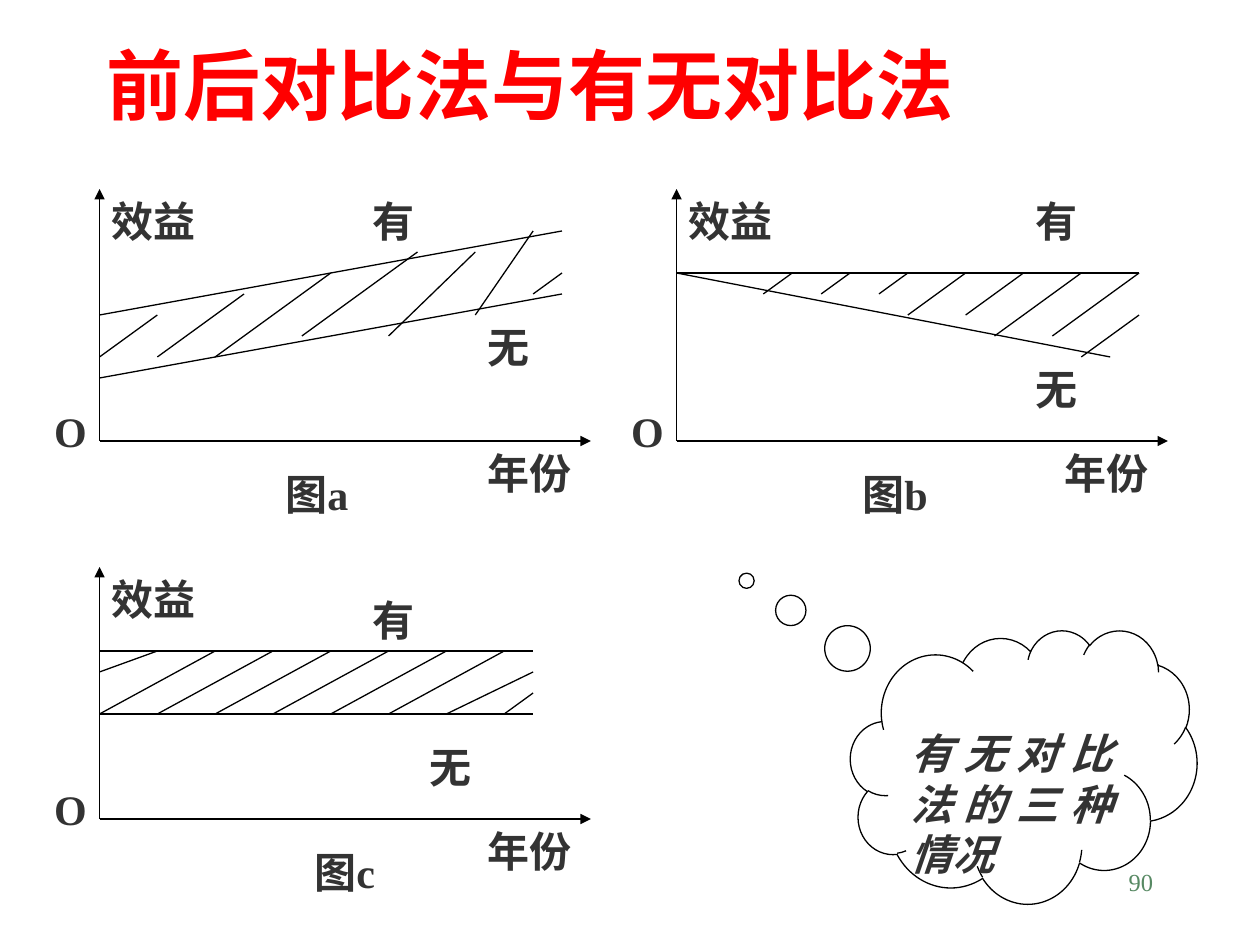
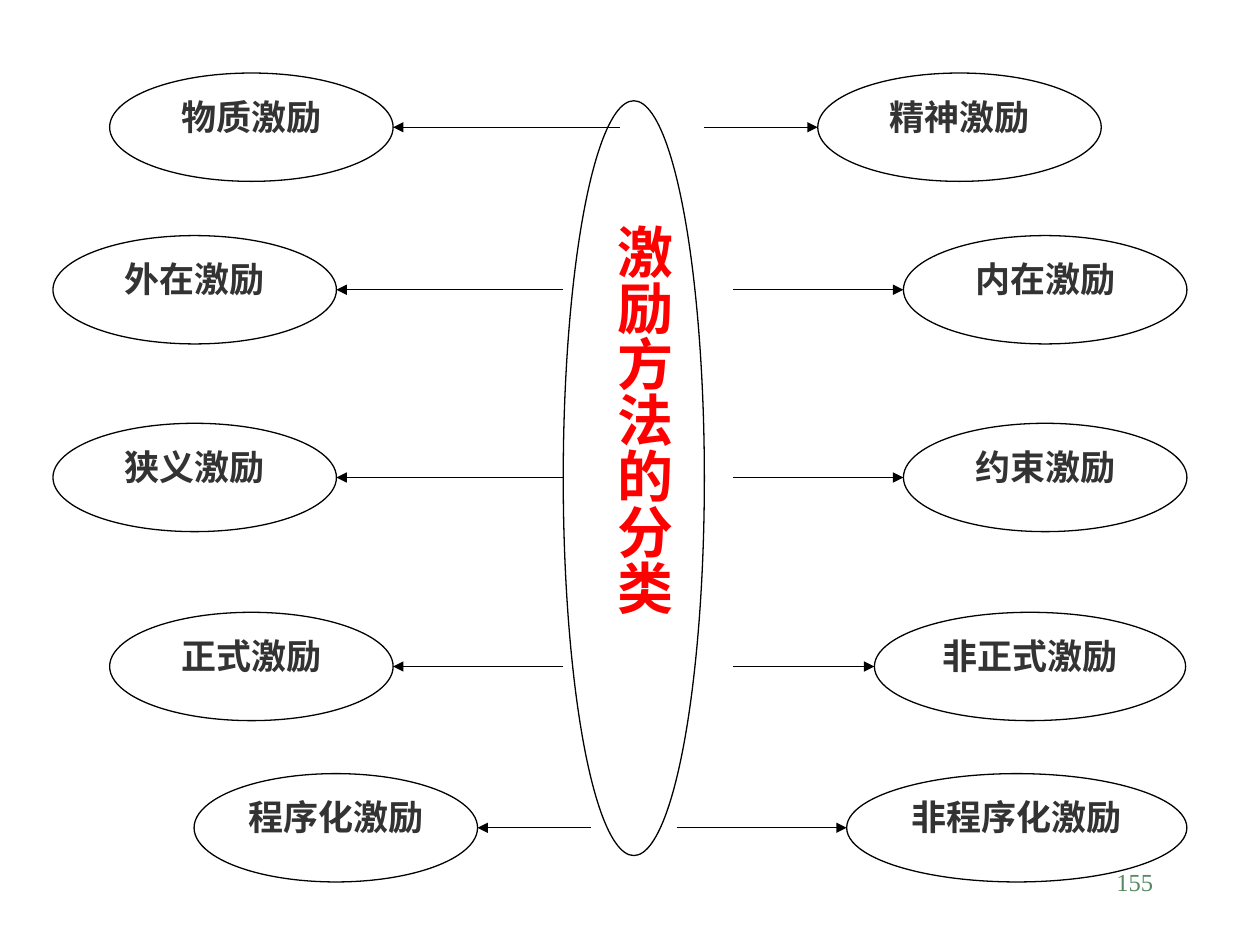
from lxml import etree
from pptx import Presentation
from pptx import util as u
from pptx.dml.color import RGBColor
from pptx.enum import shapes, text
from pptx.oxml.ns import qn

hex_color = RGBColor.from_string
INK, TITLE, PAPER, LABEL, NUMBER = "000000", "FF0000", "FFFFFF", "333333", "578963"
FONT = "Times New Roman"
ALIGN, KIND = text.PP_ALIGN, shapes.MSO_SHAPE
LABEL_STYLE = {"size": u.Pt(24), "bold": True}
METHOD_STYLE = {"size": u.Pt(20), "bold": True}
HUB_STYLE = {"size": u.Pt(32), "bold": True}
TITLE_STYLE = {"size": u.Pt(44), "bold": True}
NUMBER_STYLE = {"size": u.Pt(14)}


def add_text(slide, words, at, style, kind=None, align=ALIGN.JUSTIFY, color=LABEL):
    """Add a text box, or a white shape of the given kind holding the words."""
    place = [u.Inches(length) for length in at]
    if kind is None:
        shape = slide.shapes.add_textbox(*place)
    else:
        shape = slide.shapes.add_shape(kind, *place)
        shape.shadow.inherit = False
        shape.fill.solid()
        shape.fill.fore_color.rgb = hex_color(PAPER)
        if kind == KIND.RECTANGLE:
            shape.line.fill.background()
        else:
            shape.line.color.rgb = hex_color(INK)
            shape.line.width = u.Pt(0.75)
    frame = shape.text_frame
    frame.word_wrap = True
    frame.vertical_anchor = text.MSO_ANCHOR.TOP
    paragraph = frame.paragraphs[0]
    paragraph.alignment = align
    run = paragraph.add_run()
    run.text = words
    run.font.name = FONT
    run.font.color.rgb = hex_color(color)
    for name, value in style.items():
        setattr(run.font, name, value)
    return shape


def add_line(slide, start, end, arrow=False):
    points = [u.Inches(length) for length in (*start, *end)]
    line = slide.shapes.add_connector(shapes.MSO_CONNECTOR.STRAIGHT, *points)
    line.line.color.rgb = hex_color(INK)
    line.line.width = u.Pt(0.75)
    properties = line.line._get_or_add_ln()
    if arrow:
        etree.SubElement(properties, qn("a:tailEnd"), type="triangle")
    etree.SubElement(properties.getparent(), qn("a:effectLst"))


prs = Presentation()
prs.slide_width, prs.slide_height = u.Inches(10), u.Inches(7.5)
comparison, incentives = [prs.slides.add_slide(prs.slide_layouts[6]) for _ in range(2)]

# Comparison charts: positions count grid steps right of and above the origin O
STEP_X, STEP_Y = 3.9 / 17, 1 / 6
figures = [
    {"name": "图a", "origin": (0.79, 3.5), "name_x": 6, "with": (9, 12), "without": (13, 6),
     "lines": [(0, 6, 16, 10), (0, 3, 16, 7), (2, 6, 0, 4), (5, 7, 2, 4), (8, 8, 4, 4),
               (11, 9, 7, 5), (13, 9, 10, 5), (15, 10, 13, 6), (15, 7, 16, 8)]},
    {"name": "图c", "origin": (0.79, 6.5), "name_x": 7, "with": (9, 11), "without": (11, 4),
     "lines": [(0, 5, 15, 5), (0, 8, 15, 8), (2, 8, 0, 7), (12, 5, 15, 7), (14, 5, 15, 6)]
     + [(x, 8, x - 4, 5) for x in range(4, 15, 2)]},
    {"name": "图b", "origin": (5.37, 3.5), "name_x": 6, "with": (12, 12), "without": (12, 4),
     "lines": [(0, 8, 15, 4), (0, 8, 16, 8), (4, 8, 3, 7), (6, 8, 5, 7), (7, 7, 8, 8),
               (8, 6, 10, 8), (10, 6, 12, 8), (11, 5, 14, 8), (13, 5, 16, 8), (14, 4, 16, 6)]},
]
for figure in figures:
    left, base = figure["origin"]
    labels = [
        ("有", *figure["with"], 3, KIND.RECTANGLE),
        ("无", *figure["without"], 3, KIND.RECTANGLE),
        (figure["name"], figure["name_x"], -1, 4, KIND.RECTANGLE),
        ("效益", 0, 12, 5, None),
        ("年份", 13, 0, 5, None),
        ("O", -2, 2, 3, None),
    ]
    for words, x, y, steps, kind in labels:
        at = (left + x * STEP_X, base - y * STEP_Y, steps * STEP_X, 0.5)
        add_text(comparison, words, at, LABEL_STYLE, kind)
    for axis_end in ((left, base - 2), (left + 3.9, base)):
        add_line(comparison, (left, base), axis_end, arrow=True)
    for x1, y1, x2, y2 in figure["lines"]:
        add_line(comparison, (left + x1 * STEP_X, base - y1 * STEP_Y),
                 (left + x2 * STEP_X, base - y2 * STEP_Y))

thought = add_text(comparison, "有无对比法的三种情况", (6.75, 5, 2.75, 2.17),
                   {**LABEL_STYLE, "italic": True}, KIND.CLOUD_CALLOUT)
thought.adjustments[0], thought.adjustments[1] = -0.8, -0.68
thought.text_frame.margin_top = u.Inches(0.45)

title = add_text(comparison, "前后对比法与有无对比法", (0.75, 0.33, 8.5, 0.67),
                 TITLE_STYLE, align=ALIGN.LEFT, color=TITLE)
title.text_frame.vertical_anchor = text.MSO_ANCHOR.MIDDLE

# Incentive methods: opposite pairs on both sides of the hub
hub = add_text(incentives, "激励方法的分类", (4.47, 0.8, 1.12, 5.99), HUB_STYLE,
               KIND.OVAL, ALIGN.CENTER, TITLE)
hub.text_frame._txBody.bodyPr.set("vert", "eaVert")
for side, inset in {"left": 0.05, "right": 0.05, "top": 0.1, "bottom": 0.1}.items():
    setattr(hub.text_frame, f"margin_{side}", u.Inches(inset))

OVAL_W, OVAL_H = 2.25, 0.86
# top, then for each side: words, oval left, (oval width,) arrow start
pairs = [
    (0.58, "物质激励", 0.87, 4.92, "精神激励", 6.49, OVAL_W, 5.59),
    (1.87, "外在激励", 0.42, 4.47, "内在激励", 7.17, OVAL_W, 5.82),
    (3.36, "狭义激励", 0.42, 4.47, "约束激励", 7.17, OVAL_W, 5.82),
    (4.86, "正式激励", 0.87, 4.47, "非正式激励", 6.94, 2.47, 5.82),
    (6.14, "程序化激励", 1.54, 4.69, "非程序化激励", 6.72, 2.7, 5.37),
]
for top, method, x, start, opposite, opposite_x, opposite_w, opposite_start in pairs:
    middle = top + OVAL_H / 2
    for words, oval_x, width in ((method, x, OVAL_W), (opposite, opposite_x, opposite_w)):
        add_text(incentives, words, (oval_x, top, width, OVAL_H), METHOD_STYLE,
                 KIND.OVAL, ALIGN.CENTER)
    add_line(incentives, (start, middle), (x + OVAL_W, middle), arrow=True)
    add_line(incentives, (opposite_start, middle), (opposite_x, middle), arrow=True)

for slide, number in ((comparison, "90"), (incentives, "155")):
    add_text(slide, number, (7.17, 6.83, 2.08, 0.5), NUMBER_STYLE,
             align=ALIGN.RIGHT, color=NUMBER)

prs.save("out.pptx")
